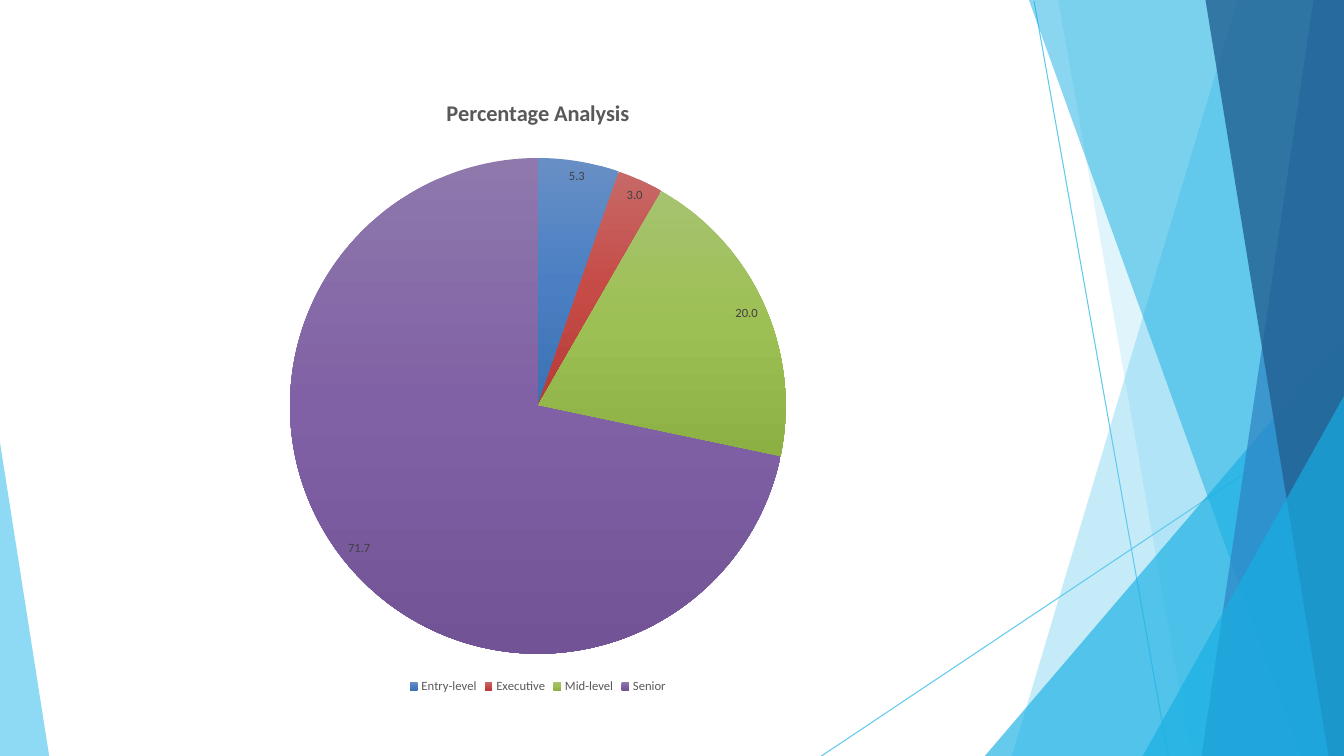
from copy import deepcopy

from lxml import etree
from pptx import Presentation
from pptx.chart.data import CategoryChartData
from pptx.dml.color import RGBColor
from pptx.enum.chart import XL_CHART_TYPE, XL_LABEL_POSITION, XL_LEGEND_POSITION
from pptx.enum.shapes import MSO_CONNECTOR
from pptx.oxml.ns import qn
from pptx.util import Cm, Pt

PIE = XL_CHART_TYPE.PIE
BEST_FIT = XL_LABEL_POSITION.BEST_FIT
BOTTOM = XL_LEGEND_POSITION.BOTTOM
STRAIGHT = MSO_CONNECTOR.STRAIGHT

SKY = RGBColor(0x5F, 0xCA, 0xEE)
CYAN = RGBColor(0x17, 0xAF, 0xE3)
BLUE = RGBColor(0x2D, 0x83, 0xC3)
NAVY = RGBColor(0x22, 0x61, 0x92)
GREY = RGBColor(0x59, 0x59, 0x59)
DARK = RGBColor(0x40, 0x40, 0x40)
BLACK = RGBColor(0, 0, 0)
FONT = "Calibri"

W, H = 33.87, 19.05
TITLE = "Percentage Analysis"
LEVELS = [
    ("Entry-level", 5.3, ("688FC5", "4A80C3", "3B72B3")),
    ("Executive", 3.0, ("C76967", "C64B47", "B63C39")),
    ("Mid-level", 20.0, ("A6C36F", "9DC054", "8DB045")),
    ("Senior", 71.7, ("8E78AC", "8061A5", "715396")),
]
RAYS = [((26.06, 0.03), (29.44, H)), ((W, 10.26), (20.7, H))]


def band(top, bottom):
    return [(W, 0), (top, 0), (bottom, H), (W, H)]


def wedge(y, bottom):
    return [(W, y), (bottom, H), (W, H)]


FACETS = [
    (band(31.19, 25.5), SKY, 36),
    (band(26.67, 30.02), SKY, 20),
    (wedge(8.46, 24.82), CYAN, 66),
    (band(25.93, 32.79), CYAN, 50),
    (band(33.1, 30.28), BLUE, 70),
    (band(30.38, 33.48), NAVY, 80),
    (wedge(9.98, 28.8), CYAN, 66),
    ([(0, 11.15), (0, H), (1.24, H)], SKY, 70),
]


def add_ray(s, start, end):
    c = s.shapes.add_connector(STRAIGHT, *map(Cm, start + end))
    c.line.color.rgb = SKY
    c.line.width = Pt(0.75)
    etree.SubElement(c._element.spPr, qn("a:effectLst"))


def add_facet(s, points, color, opacity):
    start, *rest = [(Cm(x), Cm(y)) for x, y in points]
    fb = s.shapes.build_freeform(*start)
    fb.add_line_segments(rest, close=True)
    sp = fb.convert_to_shape()
    sp.shadow.inherit = False
    sp.line.fill.background()
    sp.fill.solid()
    sp.fill.fore_color.rgb = color
    clr = sp._element.spPr.find(qn("a:solidFill"))[0]
    etree.SubElement(clr, qn("a:alpha"), val=str(opacity * 1000))


def set_font(font, size, color, bold=False):
    font.name = FONT
    font.size = Pt(size)
    font.color.rgb = color
    font.bold = bold


def add_pie(s):
    data = CategoryChartData(number_format="0.0")
    data.categories = [name for name, _, _ in LEVELS]
    data.add_series("Series 1", [value for _, value, _ in LEVELS])
    frame = s.shapes.add_chart(PIE, Cm(0.64), Cm(1.91), Cm(25.83), Cm(15.67), data)
    chart = frame.chart
    set_font(chart.font, 10, BLACK)

    chart.has_title = True
    p = chart.chart_title.text_frame.paragraphs[0]
    p.text = TITLE
    set_font(p.font, 16, GREY, True)
    chart.chart_title.include_in_layout = False

    chart.has_legend = True
    chart.legend.position = BOTTOM
    chart.legend.include_in_layout = False
    set_font(chart.legend.font, 9, GREY)

    plot = chart.plots[0]
    plot.vary_by_categories = True
    plot.has_data_labels = True
    labels = plot.data_labels
    labels.show_value = True
    labels.show_percentage = False
    labels.number_format = "0.0"
    labels.number_format_is_linked = False
    labels.position = BEST_FIT
    set_font(labels.font, 9, DARK)

    for i, (_, _, colors) in enumerate(LEVELS):
        fill = plot.series[0].points[i].format.fill
        fill.gradient()
        fill.gradient_angle = 270
        stops = chart._chartSpace.xpath(".//c:dPt//a:gsLst")[i]
        stops.insert(1, deepcopy(stops[0]))
        for stop, position, color in zip(fill.gradient_stops, (0, 0.5, 1), colors):
            stop.position = position
            stop.color.rgb = RGBColor.from_string(color)


def main():
    prs = Presentation()
    prs.slide_width, prs.slide_height = Cm(W), Cm(H)
    s = prs.slides.add_slide(prs.slide_layouts[6])
    for start, end in RAYS:
        add_ray(s, start, end)
    for facet in FACETS:
        add_facet(s, *facet)
    add_pie(s)
    prs.save("out.pptx")


if __name__ == "__main__":
    main()
